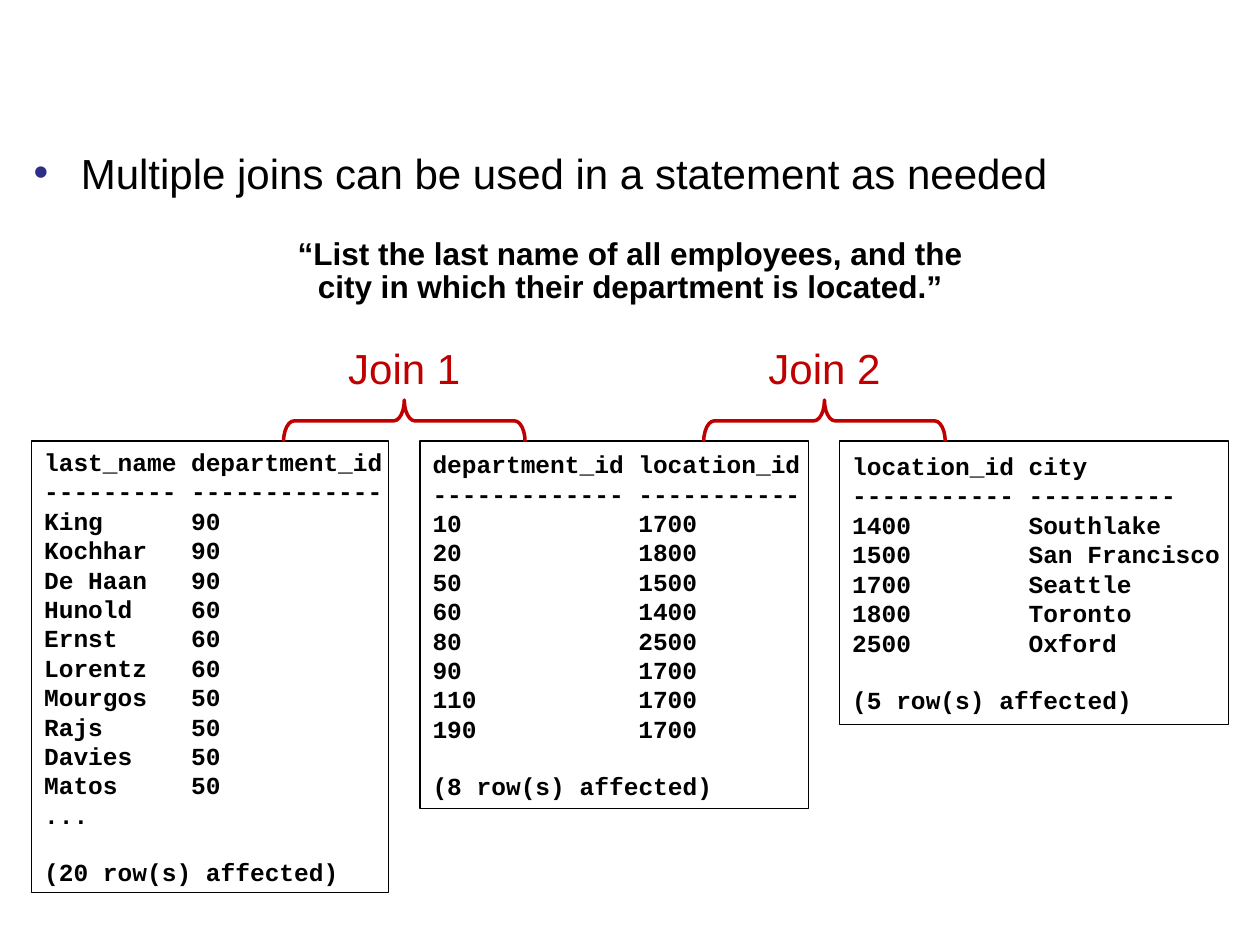
from pptx import Presentation
from pptx import util as u
from pptx.dml.color import RGBColor
from pptx.enum import shapes, text
from pptx.oxml import parse_xml
from pptx.oxml.ns import nsdecls

BLACK, RED, BLUE = "000000", "C00000", "2D2D8A"
SANS, MONO = "Arial", "Courier New"


def hue(code):
    return RGBColor.from_string(code)


class Page:
    """Holds the style and the current slide; lengths are in cm."""

    size = 14      # points, for the result sets
    pitch = 8.4    # points, width of one fixed-pitch letter
    line = 15.85   # points, height of one line

    def __init__(self, deck):
        self.slide = deck.slides.add_slide(deck.slide_layouts[6])

    def run(self, para, words, size, color=BLACK, font=SANS, bold=False):
        run = para.add_run()
        run.text = words
        run.font.size, run.font.name, run.font.bold = u.Pt(size), font, bold
        run.font.color.rgb = hue(color)

    def box(self, left, top, wide, high, wrap=True):
        box = self.slide.shapes.add_textbox(*map(u.Cm, (left, top, wide, high)))
        box.text_frame.word_wrap = wrap
        return box.text_frame.paragraphs[0]

    def shape(self, kind, area, color, width):
        item = self.slide.shapes.add_shape(kind, *map(u.Cm, area))
        item.shadow.inherit = False
        item.fill.background()
        item.line.color.rgb = hue(color)
        item.line.width = u.Pt(width)
        return item

    def bullet(self, words, *area):
        para = self.box(*area)
        prop = para._p.get_or_add_pPr()
        prop.set("marL", str(u.Cm(0.95)))
        prop.set("indent", str(-u.Cm(0.95)))
        ns = nsdecls("a")
        prop.append(parse_xml(f'<a:buClr {ns}><a:srgbClr val="{BLUE}"/></a:buClr>'))
        prop.append(parse_xml(f'<a:buFont {ns} typeface="{SANS}"/>'))
        prop.append(parse_xml(f'<a:buChar {ns} char="•"/>'))
        self.run(para, words, 24)

    def quote(self, words, *area):
        para = self.box(*area)
        para.alignment = text.PP_ALIGN.CENTER
        para.line_spacing = 0.85
        self.run(para, words, 18, bold=True)

    def result(self, left, wide, high, stop, rows, note):
        """A framed result set: second column after `stop` letters, then a note."""
        item = self.shape(shapes.MSO_SHAPE.RECTANGLE, (left, 8.89, wide, high), BLACK, 0.75)
        frame = item.text_frame
        frame.word_wrap = True
        frame.margin_right = 0
        frame.vertical_anchor = text.MSO_ANCHOR.MIDDLE
        for i, row in enumerate(rows + [(note,)]):
            para = frame.paragraphs[0] if i == 0 else frame.add_paragraph()
            para.alignment = text.PP_ALIGN.LEFT
            if len(row) == 2:
                pos = u.Pt(stop * self.pitch)
                para._p.get_or_add_pPr().append(parse_xml(
                    f'<a:tabLst {nsdecls("a")}><a:tab pos="{pos}" algn="l"/></a:tabLst>'))
            if i == len(rows):
                para.space_before = u.Pt(self.line)
            self.run(para, "\t".join(row), self.size, font=MONO, bold=True)

    def join(self, words, mid):
        """A label over a brace that spans two neighbouring result sets."""
        para = self.box(mid - 1.4, 6.78, 2.8, 1.27, wrap=False)
        para.alignment = text.PP_ALIGN.CENTER
        self.run(para, words, 24, RED)
        brace = self.shape(shapes.MSO_SHAPE.LEFT_BRACE, (mid - 0.42, 6.05, 0.84, 4.87), RED, 2)
        brace.rotation = 90
        brace.adjustments[0] = 0.255


def main():
    deck = Presentation()
    deck.slide_width, deck.slide_height = u.Cm(25.4), u.Cm(19.05)
    page = Page(deck)

    # Statement and question
    page.bullet("Multiple joins can be used in a statement as needed", 0.43, 2.84, 23.83, 1.4)
    page.quote("“List the last name of all employees, and the city in which "
               "their department is located.”", 5.72, 4.72, 13.97, 1.57)

    # Result sets
    staff = [("last_name", "department_id"), ("-" * 9, "-" * 13),
             ("King", "90"), ("Kochhar", "90"), ("De Haan", "90"),
             ("Hunold", "60"), ("Ernst", "60"), ("Lorentz", "60"),
             ("Mourgos", "50"), ("Rajs", "50"), ("Davies", "50"),
             ("Matos", "50"), ("...",)]
    units = [("department_id", "location_id"), ("-" * 13, "-" * 11),
             ("10", "1700"), ("20", "1800"), ("50", "1500"), ("60", "1400"),
             ("80", "2500"), ("90", "1700"), ("110", "1700"), ("190", "1700")]
    towns = [("location_id", "city"), ("-" * 11, "-" * 10),
             ("1400", "Southlake"), ("1500", "San Francisco"),
             ("1700", "Seattle"), ("1800", "Toronto"), ("2500", "Oxford")]
    page.result(8.47, 7.83, 7.41, 14, units, "(8 row(s) affected)")
    page.result(0.64, 7.2, 9.1, 10, staff, "(20 row(s) affected)")
    page.result(16.93, 7.83, 5.71, 12, towns, "(5 row(s) affected)")

    # Joins
    for i, mid in enumerate((8.15, 16.62), 1):
        page.join(f"Join {i}", mid)

    deck.save("out.pptx")


if __name__ == "__main__":
    main()
